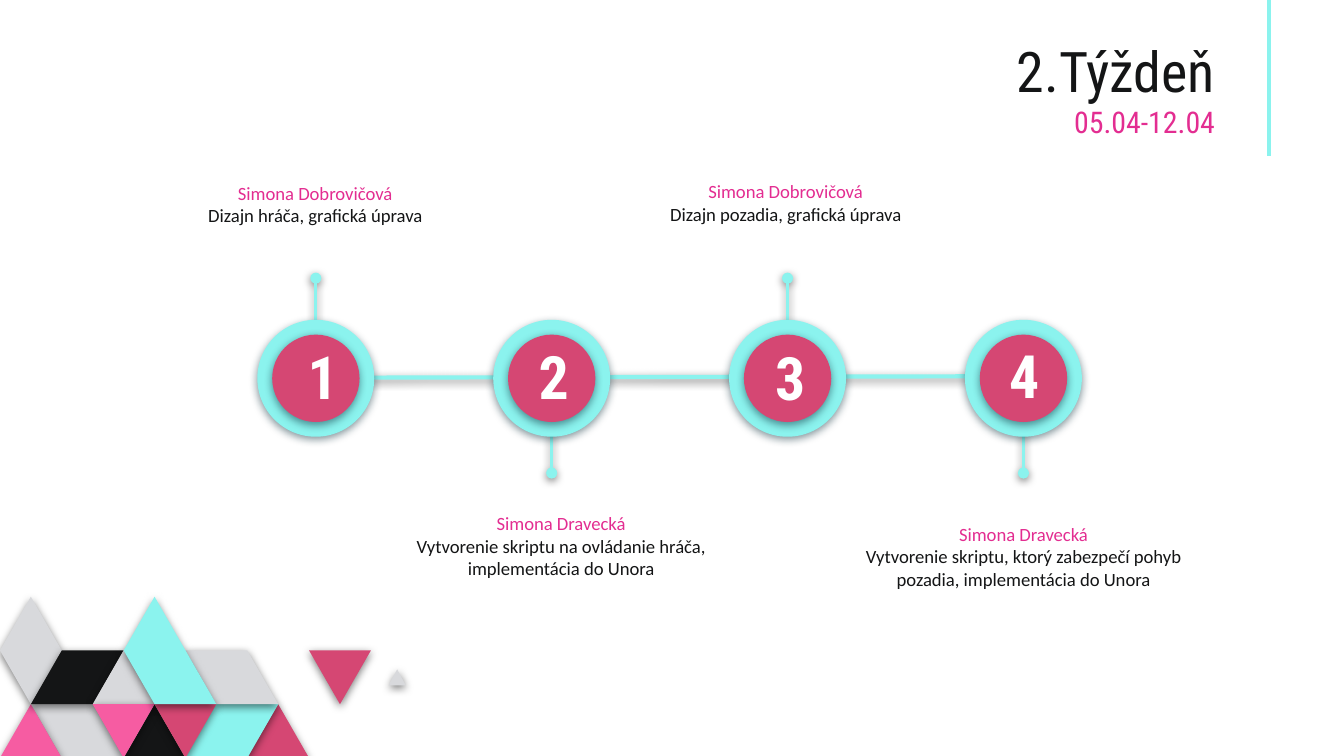
import pptx
import pptx.dml.color
import pptx.enum.shapes
import pptx.enum.text
import pptx.util
import copy
import dataclasses
import lxml.etree
import pptx.oxml.ns

Inches = pptx.util.Inches
Pt = pptx.util.Pt
RGB = pptx.dml.color.RGBColor.from_string
Align = pptx.enum.text.PP_ALIGN
Anchor = pptx.enum.text.MSO_ANCHOR
Shapes = pptx.enum.shapes.MSO_SHAPE
qn = pptx.oxml.ns.qn


@dataclasses.dataclass(frozen=True)
class Theme:
    dark: str = "141516"
    cyan: str = "8BF3EE"
    rose: str = "D54773"
    pink: str = "F65CA2"
    magenta: str = "E32D91"
    grey: str = "D8D9DC"
    white: str = "FFFFFF"
    black: str = "000000"
    circle_shadow: str = "0C2E3A"
    heading_font: str = "Roboto Condensed"
    body_font: str = "Calibri"
    title_size: int = 30
    date_size: int = 16
    body_size: int = 10
    number_size: int = 32


theme = Theme()


def write(shape, *lines, font, align, anchor=Anchor.TOP, bold=False,
          inset=0.1, space_after=0):
    """Fill one paragraph with (text, size, color) lines parted by line breaks."""
    frame = shape.text_frame
    frame.word_wrap = True
    frame.auto_size = pptx.enum.text.MSO_AUTO_SIZE.NONE
    frame.vertical_anchor = anchor
    frame.margin_left = frame.margin_right = Inches(0.1)
    frame.margin_top = frame.margin_bottom = Inches(inset)
    paragraph = frame.paragraphs[0]
    paragraph.alignment = align
    paragraph.space_before = Pt(0)
    paragraph.space_after = Pt(space_after)
    properties = paragraph._p.get_or_add_pPr()
    properties.set("marL", "0")
    properties.set("indent", "0")
    lxml.etree.SubElement(properties, qn("a:buNone"))
    for index, (text, size, color) in enumerate(lines):
        if index:
            paragraph.add_line_break()
            paragraph._p[-1].append(copy.deepcopy(run._r.rPr))
        run = paragraph.add_run()
        run.text = text
        run.font.name = font
        run.font.size = Pt(size)
        run.font.bold = bold
        run.font.color.rgb = RGB(color)


def style(shape, color, width=None, shadow=None):
    """Color a connector when width is given, else fill a shape; then set its shadow."""
    if width:
        shape.line.color.rgb = RGB(color)
        shape.line.width = Pt(width)
    else:
        shape.fill.solid()
        shape.fill.fore_color.rgb = RGB(color)
        shape.line.fill.background()
    effects = lxml.etree.SubElement(shape._element.spPr, qn("a:effectLst"))
    if shadow:
        outer = lxml.etree.SubElement(
            effects, qn("a:outerShdw"), blurRad=str(Pt(4.5)), dist=str(Pt(1.5)),
            dir="5400000", algn="bl", rotWithShape="0")
        tint = lxml.etree.SubElement(outer, qn("a:srgbClr"), val=shadow)
        lxml.etree.SubElement(tint, qn("a:alpha"), val="50000")


presentation = pptx.Presentation()
presentation.slide_width = Inches(10)
presentation.slide_height = Inches(5.625)
slide = presentation.slides.add_slide(presentation.slide_layouts.get_by_name("Comparison"))
shapes = slide.shapes
straight = pptx.enum.shapes.MSO_CONNECTOR.STRAIGHT

# Mosaic: corners as (column, row) on a triangular grid
column_width, row_height, mosaic_top = 0.23, 0.4, 4.44
tiles = [
    (theme.rose, [(10, 3), (9, 2), (8, 3)]),
    (theme.cyan, [(9, 2), (7, 2), (6, 3), (8, 3)]),
    (theme.grey, [(4, 3), (3, 2), (1, 2), (2, 3)]),
    (theme.pink, [(2, 3), (1, 2), (0, 3)]),
    (theme.dark, [(6, 3), (5, 2), (4, 3)]),
    (theme.grey, [(9, 2), (8, 1), (6, 1), (7, 2)]),
    (theme.grey, [(13.13, 1.65), (12.85, 1.35), (12.57, 1.65)]),
    (theme.rose, [(12, 1), (10, 1), (11, 2)]),
    (theme.grey, [(2, 1), (1, 0), (0, 1), (1, 2)]),
    (theme.dark, [(4, 1), (2, 1), (1, 2), (3, 2)]),
    (theme.grey, [(5, 2), (4, 1), (3, 2)]),
    (theme.pink, [(5, 2), (3, 2), (4, 3)]),
    (theme.rose, [(7, 2), (5, 2), (6, 3)]),
    (theme.cyan, [(7, 2), (5, 0), (4, 1), (5, 2)]),
]
for color, corners in tiles:
    points = [(Inches(column * column_width), Inches(mosaic_top + row * row_height))
              for column, row in corners]
    builder = shapes.build_freeform(*points[0])
    builder.add_line_segments(points[1:], close=True)
    style(builder.convert_to_shape(), color, shadow=theme.black)

# Title with its accent line
accent = shapes.add_connector(straight, Inches(9.44), Inches(0), Inches(9.44), Inches(1.16))
style(accent, theme.cyan, width=2.25)
title = shapes.title
title.left, title.top, title.width, title.height = map(Inches, (0.29, 0.51, 8.85, 0.63))
write(title, ("2.Týždeň", theme.title_size, theme.dark),
      ("05.04-12.04", theme.date_size, theme.magenta),
      font=theme.heading_font, align=Align.RIGHT, anchor=Anchor.BOTTOM)

# Timeline: person, task, text box, left edge and top of the number
steps = [
    ("Simona Dobrovičová", "Dizajn hráča, grafická úprava",
     (1.22, 1.25, 2.25, 0.75), 2.19, 2.48),
    ("Simona Dravecká", "Vytvorenie skriptu na ovládanie hráča, implementácia do Unora",
     (2.81, 3.71, 2.73, 0.75), 3.91, 2.48),
    ("Simona Dobrovičová", "Dizajn pozadia, grafická úprava",
     (4.72, 1.24, 2.25, 0.75), 5.67, 2.49),
    ("Simona Dravecká", "Vytvorenie skriptu, ktorý zabezpečí pohyb pozadia, implementácia do Unora",
     (6.32, 3.79, 2.59, 0.75), 7.41, 2.47),
]
first_center, step_gap, center_y = 2.35, 1.755, 2.815
axis = shapes.add_connector(straight, Inches(2.74), Inches(2.81), Inches(7.22), Inches(2.8))
style(axis, theme.cyan, width=2.25, shadow=theme.black)

descriptions = list(slide.placeholders)[1:]
for index, (person, task, box, number_left, number_top) in enumerate(steps):
    center_x = first_center + index * step_gap
    stem_start, stem_end = (3.14, 3.52) if index % 2 else (2.49, 2.07)
    stem = shapes.add_connector(straight, Inches(center_x), Inches(stem_start),
                                Inches(center_x), Inches(stem_end))
    style(stem, theme.cyan, width=1.5, shadow=theme.black)
    lxml.etree.SubElement(stem.line._ln, qn("a:tailEnd"), type="oval")

    for diameter, color in ((0.87, theme.cyan), (0.65, theme.rose)):
        circle = shapes.add_shape(
            Shapes.OVAL, Inches(center_x - diameter / 2), Inches(center_y - diameter / 2),
            Inches(diameter), Inches(diameter))
        style(circle, color, shadow=theme.circle_shadow)

    number = shapes.add_textbox(Inches(number_left), Inches(number_top),
                                Inches(0.33), Inches(0.64))
    write(number, (str(index + 1), theme.number_size, theme.white),
          font=theme.heading_font, align=Align.LEFT, bold=True, inset=0.05)

    description = descriptions[index]
    description.left, description.top, description.width, description.height = map(Inches, box)
    write(description, (person, theme.body_size, theme.magenta),
          (task, theme.body_size, theme.dark),
          font=theme.body_font, align=Align.CENTER, space_after=16)

presentation.save("out.pptx")
